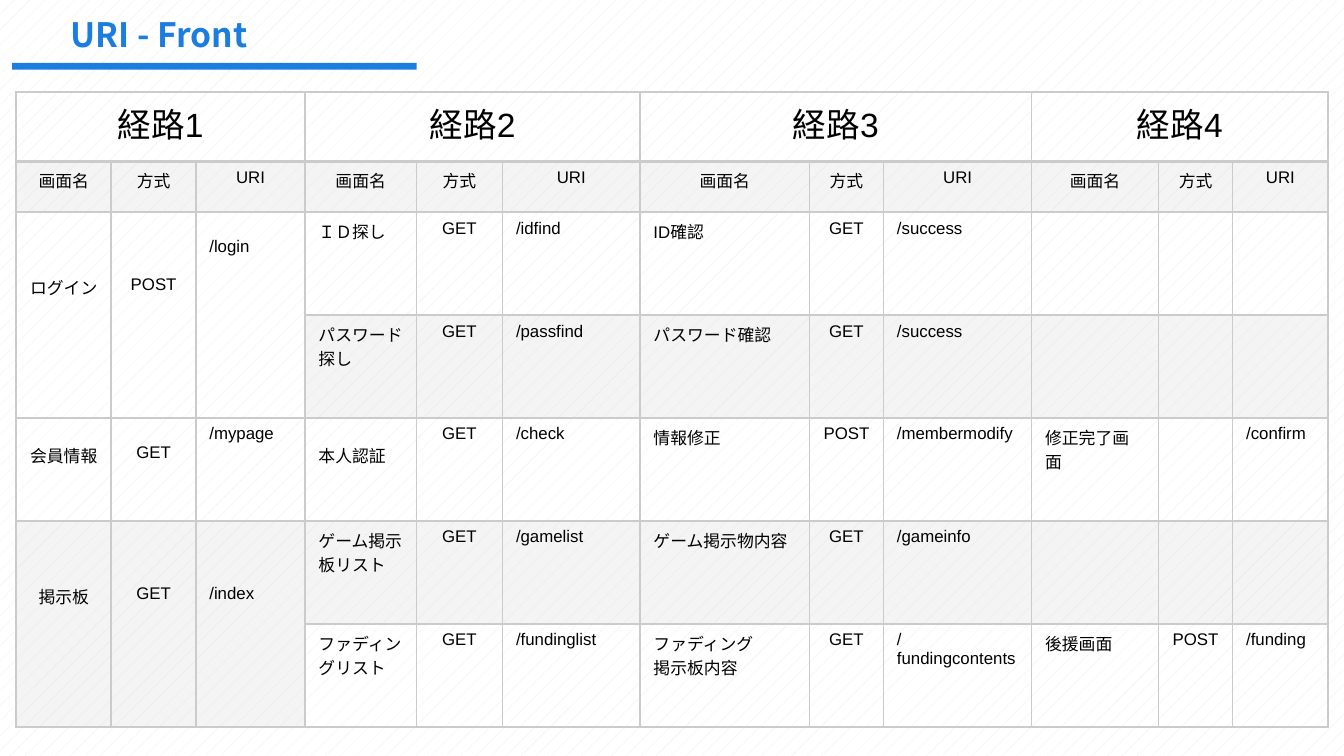
"""Builds the slide listing the front-end URIs along four routes."""
from dataclasses import dataclass

import pptx
import pptx.dml.color
import pptx.enum.dml
import pptx.enum.shapes
import pptx.enum.text
import pptx.oxml
import pptx.oxml.ns
import pptx.util

COLORS = {"accent": "1C7DE1", "grid": "CBCBCB", "ink": "000000",
          "paper": "FFFFFF", "weave": "EEECE1"}
ALIGN = pptx.enum.text.PP_ALIGN
SLIDE_WIDTH = pptx.util.Inches(10)
SLIDE_HEIGHT = SLIDE_WIDTH * 9 // 16
COLUMN_SHARES = [7.08, 6.3, 8.12, 8.28, 6.42, 10.23, 12.6, 5.52, 11.02, 9.43, 5.53, 7.1]
ROW_SHARES = [9.12, 6.75] + [13.62] * 5
LINE_DROP = 0.14
ROUTE_COLUMNS = 3


@dataclass(frozen=True)
class Entry:
    """One screen of a route, with the lines each text is lowered by."""
    screen: str = ""
    method: str = ""
    uri: str = ""
    drops: tuple[int, int, int] = (0, 0, 0)
    rows: int = 1


HEADINGS = ["経路1", "経路2", "経路3", "経路4"]
LABELS = Entry("画面名", "方式", "URI")
NONE = Entry()
ENTRIES = [
    [Entry("ログイン", "POST", "/login", (3, 3, 1), 2), Entry("ＩＤ探し", "GET", "/idfind"),
     Entry("ID確認", "GET", "/success"), NONE],
    [None, Entry("パスワード探し", "GET", "/passfind"),
     Entry("パスワード確認", "GET", "/success"), NONE],
    [Entry("会員情報", "GET", "/mypage", (1, 1, 0)), Entry("本人認証", "GET", "/check", (1, 0, 0)),
     Entry("情報修正", "POST", "/membermodify"), Entry("修正完了画面", "", "/confirm")],
    [Entry("掲示板", "GET", "/index", (3, 3, 3), 2), Entry("ゲーム掲示板リスト", "GET", "/gamelist"),
     Entry("ゲーム掲示物内容", "GET", "/gameinfo"), NONE],
    [None, Entry("ファディングリスト", "GET", "/fundinglist"),
     Entry("ファディング\n掲示板内容", "GET", "/fundingcontents"),
     Entry("後援画面", "POST", "/funding")],
]


def color(name: str) -> pptx.dml.color.RGBColor:
    """Looks up a palette colour."""
    return pptx.dml.color.RGBColor.from_string(COLORS[name])


def across(percent: float) -> int:
    """Turns a share of the slide's width into a length."""
    return round(SLIDE_WIDTH * percent / 100)


def down(percent: float) -> int:
    """Turns a share of the slide's height into a length."""
    return round(SLIDE_HEIGHT * percent / 100)


def style(paragraph, size: float, font: str, ink: str, align, bold: bool = False) -> None:
    """Formats a whole paragraph."""
    paragraph.alignment = align
    paragraph.font.size = pptx.util.Pt(size)
    paragraph.font.name = font
    paragraph.font.bold = bold
    paragraph.font.color.rgb = color(ink)


def write(cell, text: str, size: float, align, drop: int = 0) -> None:
    """Fills a cell with text lowered by a number of lines."""
    cell.text = text
    cell.margin_top = pptx.util.Inches(0.05 + LINE_DROP * drop)
    for paragraph in cell.text_frame.paragraphs:
        style(paragraph, size, "Arial", "ink", align)


def shade(cell) -> None:
    """Gives a cell the translucent band colour."""
    cell.fill.solid()
    cell.fill.fore_color.rgb = color("grid")
    tint = cell.fill._xPr.find(".//" + pptx.oxml.ns.qn("a:srgbClr"))
    tint.append(pptx.oxml.parse_xml(
        f'<a:alpha {pptx.oxml.ns.nsdecls("a")} val="20000"/>'))


def outline(cell, row: int) -> None:
    """Draws the four borders, thicker between headings and labels."""
    weights = {"lnL": 1, "lnR": 1, "lnT": 2 if row == 1 else 1, "lnB": 2 if row == 0 else 1}
    for position, (side, weight) in enumerate(weights.items()):
        cell._tc.get_or_add_tcPr().insert(position, pptx.oxml.parse_xml(
            f'<a:{side} {pptx.oxml.ns.nsdecls("a")} w="{pptx.util.Pt(weight)}">'
            f'<a:solidFill><a:srgbClr val="{COLORS["grid"]}"/></a:solidFill></a:{side}>'))


def write_entry(table, row: int, route: int, entry: Entry) -> None:
    """Writes the three cells of one entry."""
    texts = (entry.screen, entry.method, entry.uri)
    for part, (text, drop) in enumerate(zip(texts, entry.drops)):
        column = route * ROUTE_COLUMNS + part
        cell = table.cell(row, column)
        if entry.rows > 1:
            cell.merge(table.cell(row + entry.rows - 1, column))
        centred = row == 1 or part == 1 or column == 0
        write(cell, text, 9, ALIGN.CENTER if centred else ALIGN.LEFT, drop)


def draw_heading(slide) -> None:
    """Draws the title and the bar under it."""
    bar = slide.shapes.add_shape(pptx.enum.shapes.MSO_SHAPE.RECTANGLE,
                                 across(0.9), down(8.3), across(30.1), down(0.9))
    bar.shadow.inherit = False
    bar.fill.solid()
    bar.fill.fore_color.rgb = color("accent")
    bar.line.fill.background()
    title = slide.shapes.title
    title.left, title.top = across(4.27), down(0.9)
    title.width, title.height = across(29.5), down(7.1)
    frame = title.text_frame
    frame.text = "URI - Front"
    frame.word_wrap = True
    frame.vertical_anchor = pptx.enum.text.MSO_ANCHOR.TOP
    frame.auto_size = pptx.enum.text.MSO_AUTO_SIZE.SHAPE_TO_FIT_TEXT
    style(frame.paragraphs[0], 18, "Noto Sans CJK JP", "accent", ALIGN.LEFT, True)


def draw_routes(slide) -> None:
    """Draws the table of routes."""
    table = slide.shapes.add_table(
        len(ROW_SHARES), len(COLUMN_SHARES), across(1.2), down(12.2),
        across(sum(COLUMN_SHARES)), down(sum(ROW_SHARES))).table
    for column, share in zip(table.columns, COLUMN_SHARES):
        column.width = across(share)
    for row, share in zip(table.rows, ROW_SHARES):
        row.height = down(share)
    for route, heading in enumerate(HEADINGS):
        first = route * ROUTE_COLUMNS
        table.cell(0, first).merge(table.cell(0, first + ROUTE_COLUMNS - 1))
        write(table.cell(0, first), heading, 18, ALIGN.CENTER)
    for row, entries in enumerate([[LABELS] * len(HEADINGS)] + ENTRIES, start=1):
        for route, entry in enumerate(entries):
            if entry:
                write_entry(table, row, route, entry)
    for row in range(len(ROW_SHARES)):
        for column in range(len(COLUMN_SHARES)):
            cell = table.cell(row, column)
            if row % 2 and not cell.is_spanned:
                shade(cell)
            else:
                cell.fill.background()
            outline(cell, row)


def main() -> None:
    """Builds and saves the slide."""
    deck = pptx.Presentation()
    deck.slide_width, deck.slide_height = SLIDE_WIDTH, SLIDE_HEIGHT
    slide = deck.slides.add_slide(deck.slide_layouts[5])
    backdrop = slide.background.fill
    backdrop.patterned()
    backdrop.pattern = pptx.enum.dml.MSO_PATTERN.PERCENT_10
    backdrop.fore_color.rgb = color("weave")
    backdrop.back_color.rgb = color("paper")
    draw_heading(slide)
    draw_routes(slide)
    deck.save("out.pptx")


if __name__ == "__main__":
    main()
